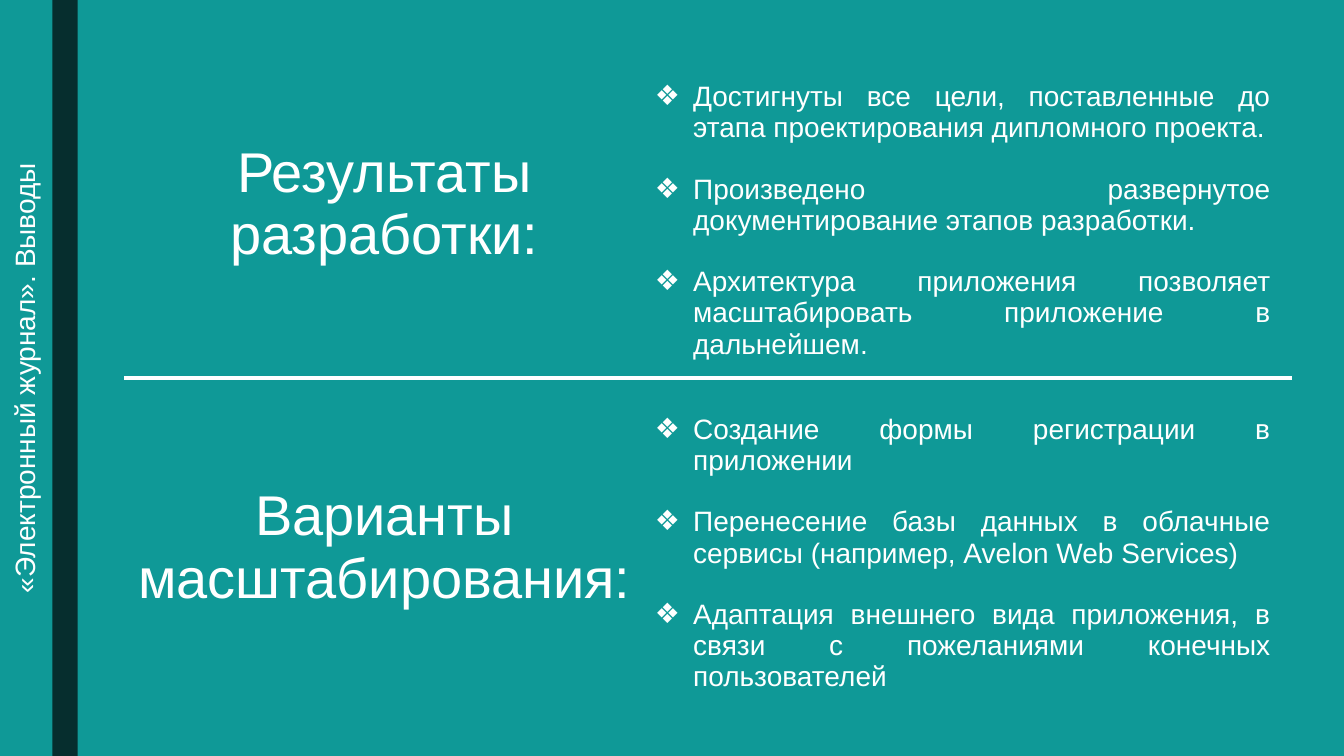
import pptx
import pptx.dml.color
import pptx.enum.shapes
import pptx.enum.text
import pptx.oxml.ns
import pptx.util
from lxml import etree

RGBColor = pptx.dml.color.RGBColor
TEAL = RGBColor(0x0F, 0x99, 0x97)
DARK = RGBColor(0x06, 0x2E, 0x2E)
WHITE = RGBColor(0xFF, 0xFF, 0xFF)
ALIGN = pptx.enum.text.PP_ALIGN
inches = pptx.util.Inches
qn = pptx.oxml.ns.qn

# Page grid, in inches
WIDTH, HEIGHT = 13.34, 7.5
STRIP, BAR = 0.52, 0.25
LEFT, MIDDLE, RIGHT = 1.23, 6.4, 12.82
LIST_WIDTH, HEADING_HEIGHT = 6.31, 1.48
INDENT = inches(0.38)

# heading, heading top and width, list top and height, list items
SECTIONS = [
    ("Результаты разработки:", 1.36, 3.64, 0.76, 2.69, [
        "Достигнуты все цели, поставленные до этапа проектирования дипломного проекта.",
        "Произведено развернутое документирование этапов разработки.",
        "Архитектура приложения позволяет масштабировать приложение в дальнейшем."]),
    ("Варианты масштабирования:", 4.77, 5.17, 4.06, 2.98, [
        "Создание формы регистрации в приложении",
        "Перенесение базы данных в облачные сервисы (например, Avelon Web Services)",
        "Адаптация внешнего вида приложения, в связи с пожеланиями конечных пользователей"]),
]


def fill_box(box, left, top, width, height, lines, size, align):
    """Move a placeholder and write its paragraphs."""
    box.left, box.top = inches(left), inches(top)
    box.width, box.height = inches(width), inches(height)
    frame = box.text_frame
    frame.text = "\n".join(lines)
    frame.word_wrap = True
    frame.auto_size = pptx.enum.text.MSO_AUTO_SIZE.NONE
    frame.vertical_anchor = pptx.enum.text.MSO_ANCHOR.TOP
    for para in frame.paragraphs:
        para.alignment = align
        para.line_spacing = 0.93
        para.space_before = pptx.util.Pt(0)
        para.font.name = "Arial"
        para.font.size = pptx.util.Pt(size)
        para.font.bold = False
        para.font.color.rgb = WHITE


def add_bullet(para):
    """Give a paragraph a white diamond and a hanging indent."""
    properties = para._p.get_or_add_pPr()
    properties.set("marL", str(INDENT))
    properties.set("indent", str(-INDENT))
    color = etree.Element(qn("a:buClr"))
    etree.SubElement(color, qn("a:srgbClr"), val=str(WHITE))
    font = etree.Element(qn("a:buFont"), typeface="Arial")
    mark = etree.Element(qn("a:buChar"), char="❖")
    run_defaults = properties.find(qn("a:defRPr"))
    for element in (color, font, mark):
        run_defaults.addprevious(element)


deck = pptx.Presentation()
deck.slide_width, deck.slide_height = inches(WIDTH), inches(HEIGHT)
page = deck.slides.add_slide(deck.slide_layouts.get_by_name("Comparison"))
page.background.fill.solid()
page.background.fill.fore_color.rgb = TEAL

# Vertical bar beside the title strip
bar = page.shapes.add_shape(pptx.enum.shapes.MSO_SHAPE.RECTANGLE,
                            inches(STRIP), 0, inches(BAR), deck.slide_height)
bar.shadow.inherit = False
bar.fill.solid()
bar.fill.fore_color.rgb = DARK
bar.line.fill.background()

# Title, turned to read upwards along the strip
title = page.shapes.title
fill_box(title, 0.31 - HEIGHT / 2, (HEIGHT - STRIP) / 2, HEIGHT, STRIP,
         ["«Электронный журнал». Выводы"], 20, ALIGN.CENTER)
title.rotation = 270

# Two sections: heading on the left, list on the right
boxes = list(page.placeholders)[1:]
for section, heading, listing in zip(SECTIONS, boxes[::2], boxes[1::2]):
    name, name_top, name_width, list_top, list_height, items = section
    name_left = (LEFT + MIDDLE - name_width) / 2
    fill_box(heading, name_left, name_top, name_width, HEADING_HEIGHT,
             [name], 40, ALIGN.CENTER)
    fill_box(listing, MIDDLE, list_top, LIST_WIDTH, list_height,
             items, 20, ALIGN.JUSTIFY)
    for para in listing.text_frame.paragraphs:
        para.space_after = pptx.util.Pt(21.4)
        add_bullet(para)

# Divider between the sections
divider = page.shapes.add_connector(
    pptx.enum.shapes.MSO_CONNECTOR.STRAIGHT,
    inches(RIGHT), inches(HEIGHT / 2), inches(LEFT), inches(HEIGHT / 2))
divider.line.color.rgb = WHITE
divider.line.width = pptx.util.Pt(3)
etree.SubElement(divider._element.spPr, qn("a:effectLst"))

deck.save("out.pptx")
